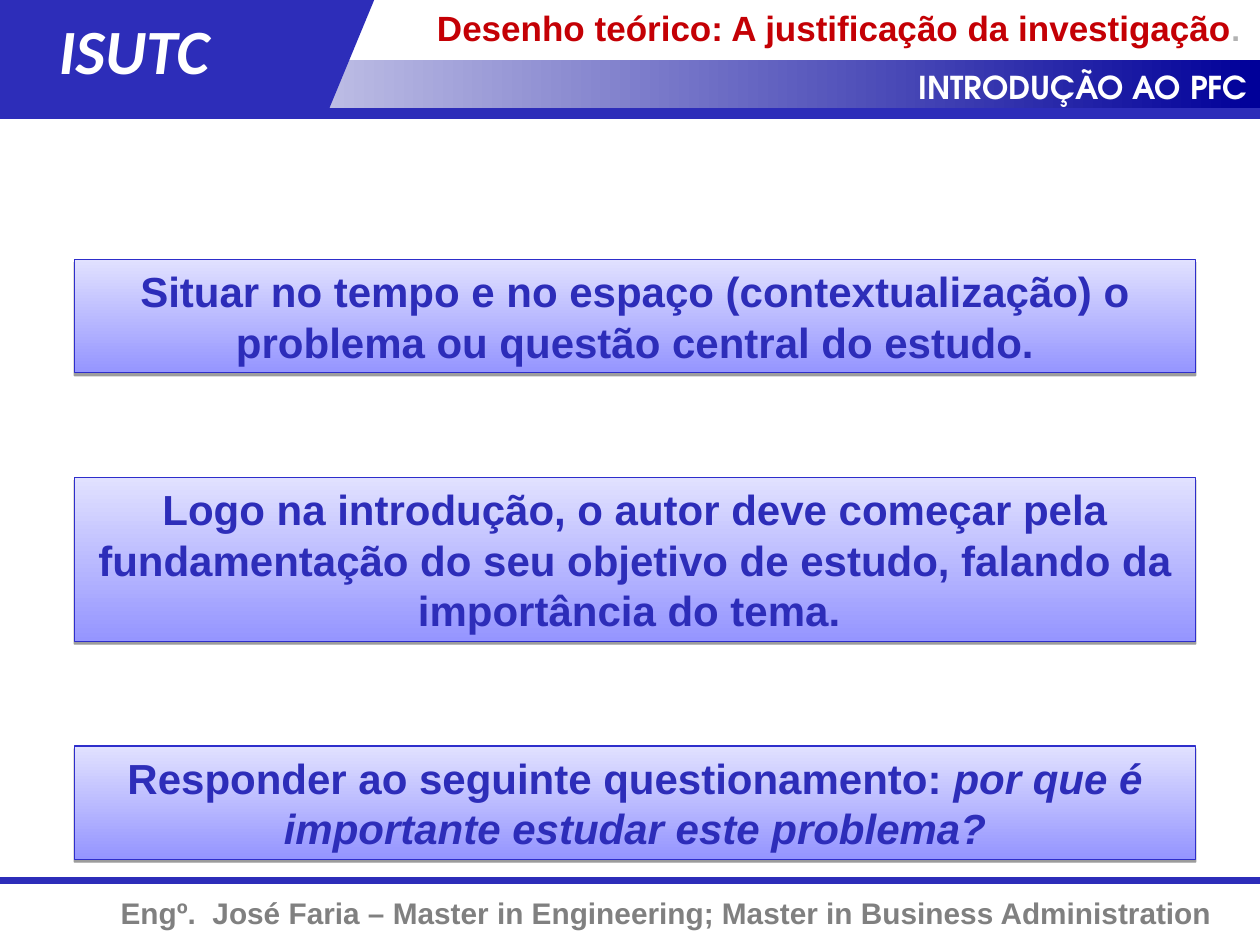
from pptx import Presentation
from pptx.dml.color import RGBColor
from pptx.enum.shapes import MSO_CONNECTOR, MSO_SHAPE
from pptx.enum.text import MSO_ANCHOR, MSO_AUTO_SIZE, PP_ALIGN
from pptx.oxml import parse_xml
from pptx.oxml.ns import nsdecls
from pptx.util import Inches, Pt
from lxml.etree import SubElement

THEME = {
    "blue": "2D2DB9", "navy": "000099", "white": "FFFFFF", "gray": "808080",
    "red": "C40005", "silver": "B2B2B2", "border": "2E2ECB",
    "card_dark": "9595FF", "card_light": "E1E1FF",
    "body": 24, "title": 20, "dot": 18, "course": 18, "school": 36, "author": 17,
    "font": "Arial", "course_font": "TeX Gyre Adventor", "school_font": "Calibri",
}

RULES = [(6.99, 4), (0.9, 6)]

LABELS = [
    ((0, 7.05, 9.72, 0.39), PP_ALIGN.RIGHT,
     [("Engº.  José Faria – Master in Engineering; Master in Business Administration",
       "author", "font", "gray", False)]),
    ((4.36, 0.49, 5.64, 0.4), PP_ALIGN.RIGHT,
     [("INTRODUÇÃO AO PFC", "course", "course_font", "white", False)]),
    ((0.37, 0.04, 1.93, 0.7), PP_ALIGN.LEFT,
     [("ISUTC", "school", "school_font", "white", True)]),
    ((3.37, 0, 6.63, 0.44), PP_ALIGN.LEFT,
     [("Desenho teórico: A justificação da investigação", "title", "font", "red", False),
      (".", "dot", "font", "silver", False)]),
]

CARDS = [
    (2.06, 2, [("Situar no tempo e no espaço (contextualização) o problema "
                "ou questão central do estudo.", False)]),
    (3.79, 3, [("Logo na introdução, o autor deve começar pela fundamentação do seu "
                "objetivo de estudo, falando da importância do tema. ", False)]),
    (5.92, 2, [("Responder ao seguinte questionamento: ", False),
               ("por que é importante estudar este problema?", True)]),
]
CARD_LEFT, CARD_WIDTH, LINE_HEIGHT, PADDING = 0.59, 8.9, 0.4, 0.1


def color(name):
    return RGBColor.from_string(THEME[name])


def add_block(slide, preset, place, fills, angle=0):
    block = slide.shapes.add_shape(preset, *map(Inches, place))
    block.shadow.inherit = False
    block.line.fill.background()
    if len(fills) == 1:
        block.fill.solid()
        block.fill.fore_color.rgb = color(fills[0])
    else:
        block.fill.gradient()
        block.fill.gradient_angle = angle
        for stop, name in zip(block.fill.gradient_stops, fills):
            stop.color.rgb = color(name)
    return block


def write(frame, align, runs):
    frame.word_wrap = True
    frame.auto_size = MSO_AUTO_SIZE.SHAPE_TO_FIT_TEXT
    frame.vertical_anchor = MSO_ANCHOR.TOP
    paragraph = frame.paragraphs[0]
    paragraph.alignment = align
    for words, size, face, ink, italic in runs:
        run = paragraph.add_run()
        run.text = words
        run.font.size = Pt(THEME[size])
        run.font.name = THEME[face]
        run.font.color.rgb = color(ink)
        run.font.bold = True
        run.font.italic = italic


def add_rule(slide, y, weight):
    rule = slide.shapes.add_connector(
        MSO_CONNECTOR.STRAIGHT, 0, Inches(y), Inches(10), Inches(y))
    rule.line.color.rgb = color("blue")
    rule.line.width = Pt(weight)
    SubElement(rule._element.spPr, "{http://schemas.openxmlformats.org/drawingml/2006/main}effectLst")


def add_card(slide, top, lines, parts):
    place = (CARD_LEFT, top, CARD_WIDTH, lines * LINE_HEIGHT + PADDING)
    card = add_block(slide, MSO_SHAPE.RECTANGLE, place, ["card_dark", "card_light"], 90)
    card.line.color.rgb = color("border")
    card.line.width = Pt(0.75)
    effects = card._element.spPr.find(
        "{http://schemas.openxmlformats.org/drawingml/2006/main}effectLst")
    effects.append(parse_xml(
        f'<a:outerShdw {nsdecls("a")} blurRad="0" dist="{Pt(1.6)}" dir="5400000" '
        'rotWithShape="0"><a:srgbClr val="000000"><a:alpha val="38000"/>'
        '</a:srgbClr></a:outerShdw>'))
    write(card.text_frame, PP_ALIGN.CENTER,
          [(words, "body", "font", "blue", italic) for words, italic in parts])


def main():
    deck = Presentation()
    deck.slide_width, deck.slide_height = Inches(10), Inches(7.5)
    slide = deck.slides.add_slide(deck.slide_layouts[6])
    add_block(slide, MSO_SHAPE.RECTANGLE, (0, 0.48, 10, 0.39), ["white", "navy"])
    add_block(slide, MSO_SHAPE.FLOWCHART_DATA, (1.17, 0, 1.8, 0.87), ["blue"])
    add_block(slide, MSO_SHAPE.RECTANGLE, (0, 0, 1.59, 0.87), ["blue"])
    for y, weight in RULES:
        add_rule(slide, y, weight)
    for place, align, runs in LABELS:
        label = slide.shapes.add_textbox(*map(Inches, place))
        write(label.text_frame, align, runs)
    for top, lines, parts in CARDS:
        add_card(slide, top, lines, parts)
    deck.save("out.pptx")


if __name__ == "__main__":
    main()
